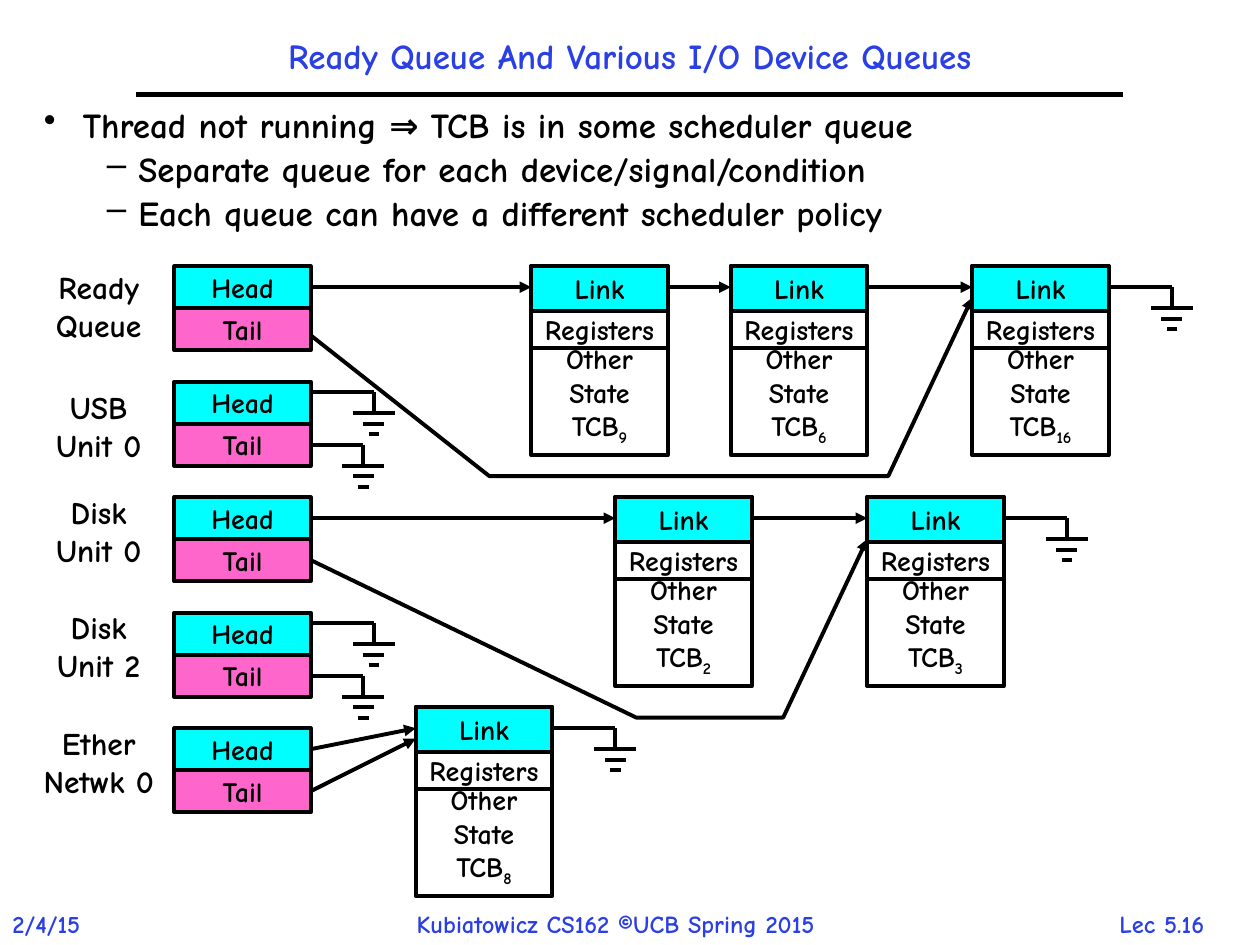
import pptx
import pptx.util
from pptx.dml.color import RGBColor
from pptx.enum.shapes import MSO_CONNECTOR, MSO_SHAPE
from pptx.enum.text import MSO_ANCHOR, PP_ALIGN
from pptx.oxml.ns import qn
from lxml import etree

BLACK = RGBColor(0, 0, 0)
WHITE = RGBColor(255, 255, 255)
BLUE = RGBColor(0x2A, 0x40, 0xE2)
CYAN = RGBColor(0, 255, 255)
PINK = RGBColor(0xFF, 0x66, 0xCC)
FONT = "Comic Neue"

# The slide is a grid of 120 by 90 cells; the diagram has its own origin.
CELL = pptx.util.Inches(1) / 12
LEFT, TOP = 0.6, 25.35
WIDE = 13   # width of every box
HALF = 4    # height of Head and of Tail
STEP = 11   # rows from one queue to the next
HEAD = 16   # column of the queue boxes
EDGE = HEAD + WIDE

QUEUES = [  # label lines, row of the label
    (("Ready", "Queue"), -0.4), (("USB", "Unit 0"), 11),
    (("Disk", "Unit 0"), 21), (("Disk", "Unit 2"), 32),
    (("Ether", "Netwk 0"), 43)]
BLOCKS = [(50, 0, "9"), (69, 0, "6"), (92, 0, "16"),
          (39, 42, "8"), (58, 22, "2"), (82, 22, "3")]
ARROWS = [((EDGE, 2), (50, 2)), ((63, 2), (69, 2)), ((82, 2), (92, 2)),
          ((EDGE, 24), (58, 24)), ((71, 24), (82, 24)),
          ((EDGE, 46), (39, 44)), ((EDGE, 50), (39, 45))]
BENDS = [((EDGE, 6.6), (46, 20), (84, 20), (92, 3)),
         ((EDGE, 28), (60, 43), (74, 43), (82, 26))]
GROUNDS = [(105, 2), (52, 44), (95, 24), (EDGE, 12), (EDGE - 1, 17),
           (EDGE, 34), (EDGE - 1, 39)]


def size(cells):
    return pptx.util.Emu(round(cells * CELL))


def spot(col, row):
    """Turn a diagram column and row into slide lengths."""
    return size(LEFT + col), size(TOP + row)


def add_run(para, text, pts, color=BLACK, base=None):
    run = para.add_run()
    run.text = text
    font = run.font
    font.name, font.size, font.bold = FONT, pptx.util.Pt(pts), True
    font.color.rgb = color
    if base:
        font._element.set("baseline", str(base * 1000))


def paras(frame, count, align=PP_ALIGN.CENTER):
    """Return count paragraphs of a frame, all aligned alike."""
    for _ in range(count - 1):
        frame.add_paragraph()
    for para in frame.paragraphs:
        para.alignment = align
    return frame.paragraphs


def add_text(slide, col, row, wide, high, lines, pts,
             color=BLACK, align=PP_ALIGN.CENTER):
    box = slide.shapes.add_textbox(*map(size, (col, row, wide, high)))
    frame = box.text_frame
    frame.word_wrap = True
    for para, line in zip(paras(frame, len(lines), align), lines):
        add_run(para, line, pts, color)
    return frame


def add_body(slide, items):
    """Add bullets given as (level, text)."""
    frame = add_text(slide, 3, 10, 113, 14, [text for _, text in items],
                     20, align=PP_ALIGN.LEFT)
    marks = [("•", 0.31, 0.31), ("–", 0.75, 0.25)]
    for num, (para, (level, _)) in enumerate(zip(frame.paragraphs, items)):
        mark, left, hang = marks[level]
        para.level = level
        para.line_spacing = 0.8
        if num:
            para.space_before = pptx.util.Pt(6)
        props = para._p.get_or_add_pPr()
        props.set("marL", str(pptx.util.Inches(left)))
        props.set("indent", str(-pptx.util.Inches(hang)))
        etree.SubElement(props, qn("a:buChar")).set("char", mark)


def add_box(slide, col, row, high, fill, lines, drop=0):
    """Add a box whose lines are lists of (text, baseline) runs."""
    box = slide.shapes.add_shape(MSO_SHAPE.RECTANGLE, *spot(col, row),
                                 size(WIDE), size(high))
    box.shadow.inherit = False
    box.fill.solid()
    box.fill.fore_color.rgb = fill
    ink(box, 2.25)
    frame = box.text_frame
    frame.word_wrap = False
    frame.vertical_anchor = MSO_ANCHOR.MIDDLE
    frame.margin_top = pptx.util.Inches(0.05) + size(drop)
    for para, line in zip(paras(frame, len(lines)), lines):
        for text, base in line:
            add_run(para, text, 16, base=base)


def ink(shape, pts, arrow=False):
    shape.line.color.rgb = BLACK
    shape.line.width = pptx.util.Pt(pts)
    if arrow:
        line = shape._element.spPr.find(qn("a:ln"))
        etree.SubElement(line, qn("a:tailEnd")).set("type", "triangle")


def add_line(slide, start, end, pts=2.25, arrow=False):
    line = slide.shapes.add_connector(MSO_CONNECTOR.STRAIGHT, *start, *end)
    ink(line, pts, arrow)
    etree.SubElement(line._element.spPr, qn("a:effectLst"))


def add_bend(slide, points):
    first, *rest = [spot(*point) for point in points]
    pen = slide.shapes.build_freeform(*first)
    pen.add_line_segments(rest, close=False)
    bend = pen.convert_to_shape()
    bend.shadow.inherit = False
    bend.fill.background()
    ink(bend, 2.25, arrow=True)


def add_ground(slide, col, row):
    """Add the null mark: a wire, a stem and three shrinking bars."""
    mid = col + 6
    add_line(slide, spot(col, row), spot(mid, row))
    add_line(slide, spot(mid, row), spot(mid, row + 2))
    for drop, wide in enumerate((4, 2, 1), 2):
        add_line(slide, spot(mid - wide / 2, row + drop),
                 spot(mid + wide / 2, row + drop))


def add_block(slide, col, row, num):
    """Add a thread control block."""
    state = [[("Other", None)], [("State", None)],
             [("TCB", None), (num, -25)]]
    add_box(slide, col, row, 18, WHITE, state, drop=6.4)
    add_box(slide, col, row, 4.3, CYAN, [[("Link", None)]])
    add_box(slide, col, row + 4.3, 3.5, WHITE, [[("Registers", None)]])


def add_queue(slide, row, label, spot_row):
    add_box(slide, HEAD, row, HALF, CYAN, [[("Head", None)]])
    add_box(slide, HEAD, row + HALF, HALF, PINK, [[("Tail", None)]])
    add_text(slide, 2, TOP + spot_row, 14.8, 8.4, label, 18)


def main():
    deck = pptx.Presentation()
    deck.slide_width, deck.slide_height = size(120), size(90)
    slide = deck.slides.add_slide(deck.slide_layouts[6])

    add_text(slide, 103.4, 86, 14.5, 4, ["Lec 5.16"], 14, BLUE)
    add_text(slide, 0, 86, 10.6, 4, ["2/4/15"], 14, BLUE, PP_ALIGN.LEFT)
    add_text(slide, 38.5, 86, 46.5, 4,
             ["Kubiatowicz CS162 ©UCB Spring 2015"], 14, BLUE, PP_ALIGN.LEFT)
    add_line(slide, (size(13), size(9)), (size(107), size(9)), 3)
    title = add_text(slide, 13, 2, 94, 7,
                     ["Ready Queue And Various I/O Device Queues"], 20, BLUE)
    title.vertical_anchor = MSO_ANCHOR.MIDDLE
    title.paragraphs[0].line_spacing = 0.9
    add_body(slide, [
        (0, "Thread not running ⇒ TCB is in some scheduler queue"),
        (1, "Separate queue for each device/signal/condition"),
        (1, "Each queue can have a different scheduler policy")])

    for block in BLOCKS:
        add_block(slide, *block)
    for start, end in ARROWS:
        add_line(slide, spot(*start), spot(*end), arrow=True)
    for points in BENDS:
        add_bend(slide, points)
    for place in GROUNDS:
        add_ground(slide, *place)
    for num, (label, row) in enumerate(QUEUES):
        add_queue(slide, num * STEP, label, row)
    deck.save("out.pptx")


if __name__ == "__main__":
    main()
